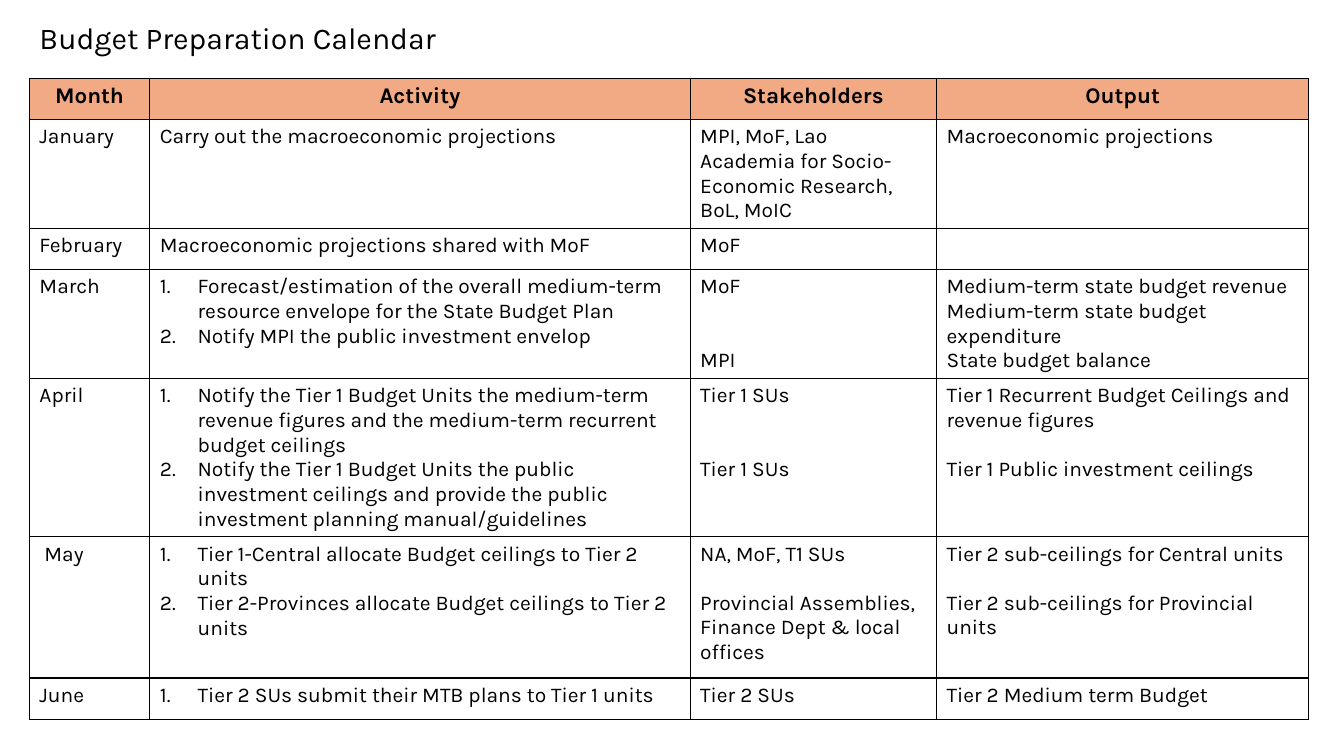
import pptx
import pptx.dml.color
import pptx.enum.text
import pptx.oxml
import pptx.oxml.ns
import pptx.util

Pt = pptx.util.Pt
RGB = pptx.dml.color.RGBColor.from_string
ALIGN = pptx.enum.text.PP_ALIGN
ANCHOR = pptx.enum.text.MSO_ANCHOR

COLORS = {"text": "000000", "line": "000000", "header": "F2AA84", "body": "FFFFFF"}
TITLE = {"name": "Karla", "size": Pt(21.6), "bold": False}
HEADER = {"name": "Karla", "size": Pt(16), "bold": True}
BODY = {"name": "Karla", "size": Pt(15), "bold": False}
LINE = 17.55  # height of one body line
INDENT = 27
COL_WIDTHS = [86, 386, 176, 266]
ROW_HEIGHTS = [29.4, 77, 29.4, 77, 112, 101, 29.4]
HEADINGS = ["Month", "Activity", "Stakeholders", "Output"]
ACTIVITY = 1

# Each cell is a list of paragraphs; a (text, lines) pair leaves that many lines free above.
# Activities given as a tuple are numbered.
MONTHS = [
    (["January"],
     ["Carry out the macroeconomic projections"],
     ["MPI, MoF, Lao Academia for Socio-Economic Research, BoL, MoIC"],
     ["Macroeconomic projections"]),
    (["February"],
     ["Macroeconomic projections shared with MoF"],
     ["MoF"],
     []),
    (["March"],
     ("Forecast/estimation of the overall medium-term resource envelope for the State Budget Plan",
      "Notify MPI the public investment envelop"),
     ["MoF", ("MPI", 2)],
     ["Medium-term state budget revenue", "Medium-term state budget expenditure",
      "State budget balance"]),
    (["April"],
     ("Notify the Tier 1 Budget Units the medium-term revenue figures and the medium-term "
      "recurrent budget ceilings",
      "Notify the Tier 1 Budget Units the public investment ceilings and provide the public "
      "investment planning manual/guidelines"),
     ["Tier 1 SUs", ("Tier 1 SUs", 2)],
     ["Tier 1 Recurrent Budget Ceilings and revenue figures",
      ("Tier 1 Public investment ceilings", 1)]),
    ([" May"],
     ("Tier 1-Central allocate Budget ceilings to Tier 2 units",
      "Tier 2-Provinces allocate Budget ceilings to Tier 2 units"),
     ["NA, MoF, T1 SUs", ("Provincial Assemblies, Finance Dept & local offices", 1)],
     ["Tier 2 sub-ceilings for Central units", ("Tier 2 sub-ceilings for Provincial units", 1)]),
    (["June"],
     ("Tier 2 SUs submit their MTB plans to Tier 1 units",),
     ["Tier 2 SUs"],
     ["Tier 2 Medium term Budget"]),
]


def add_run(p, text, fmt):
    r = p.add_run()
    r.text = text
    for name, value in fmt.items():
        setattr(r.font, name, value)
    r.font.color.rgb = RGB(COLORS["text"])


def number_paragraph(p):
    pPr = p._p.get_or_add_pPr()
    pPr.set("marL", str(Pt(INDENT)))
    pPr.set("indent", str(-Pt(INDENT)))
    num = pptx.oxml.parse_xml(
        f'<a:buAutoNum {pptx.oxml.ns.nsdecls("a")} type="arabicPeriod"/>')
    pPr.append(num)


def style_cell(cell, fill):
    cell.fill.solid()
    cell.fill.fore_color.rgb = RGB(COLORS[fill])
    tcPr = cell._tc.get_or_add_tcPr()
    for i, side in enumerate("LRTB"):
        border = pptx.oxml.parse_xml(
            f'<a:ln{side} {pptx.oxml.ns.nsdecls("a")} w="{Pt(1)}"><a:solidFill>'
            f'<a:srgbClr val="{COLORS["line"]}"/></a:solidFill></a:ln{side}>')
        tcPr.insert(i, border)


def fill_cell(cell, paragraphs, fmt, align=ALIGN.LEFT, numbered=False):
    tf = cell.text_frame
    for i, item in enumerate(paragraphs):
        text, gap = item if isinstance(item, tuple) else (item, 0)
        p = tf.add_paragraph() if i else tf.paragraphs[0]
        p.alignment = align
        if gap:
            p.space_before = Pt(gap * LINE)
        if numbered:
            number_paragraph(p)
        add_run(p, text, fmt)


def add_title(slide, text, left, top, width, height):
    sp = slide.shapes.title
    sp.left, sp.top, sp.width, sp.height = Pt(left), Pt(top), Pt(width), Pt(height)
    tf = sp.text_frame
    tf.word_wrap = True
    tf.auto_size = pptx.enum.text.MSO_AUTO_SIZE.NONE
    tf.vertical_anchor = ANCHOR.MIDDLE
    p = tf.paragraphs[0]
    p.alignment = ALIGN.LEFT
    p.line_spacing = 0.9
    add_run(p, text, TITLE)


def add_calendar(slide, left, top):
    frame = slide.shapes.add_table(
        len(ROW_HEIGHTS), len(COL_WIDTHS), Pt(left), Pt(top),
        Pt(sum(COL_WIDTHS)), Pt(sum(ROW_HEIGHTS)))
    table = frame.table
    table.first_row = table.horz_banding = False
    for column, width in zip(table.columns, COL_WIDTHS):
        column.width = Pt(width)
    for row, height in zip(table.rows, ROW_HEIGHTS):
        row.height = Pt(height)
    for c, heading in enumerate(HEADINGS):
        cell = table.cell(0, c)
        style_cell(cell, "header")
        fill_cell(cell, [heading], HEADER, ALIGN.CENTER)
    for r, month in enumerate(MONTHS, 1):
        for c, paragraphs in enumerate(month):
            cell = table.cell(r, c)
            style_cell(cell, "body")
            numbered = c == ACTIVITY and isinstance(paragraphs, tuple)
            fill_cell(cell, paragraphs, BODY, numbered=numbered)


def main():
    prs = pptx.Presentation()
    prs.slide_width, prs.slide_height = Pt(960), Pt(540)
    slide = prs.slides.add_slide(prs.slide_layouts[5])
    add_title(slide, "Budget Preparation Calendar", 21, 14.4, 828, 28)
    add_calendar(slide, 21, 56)
    prs.save("out.pptx")


if __name__ == "__main__":
    main()
